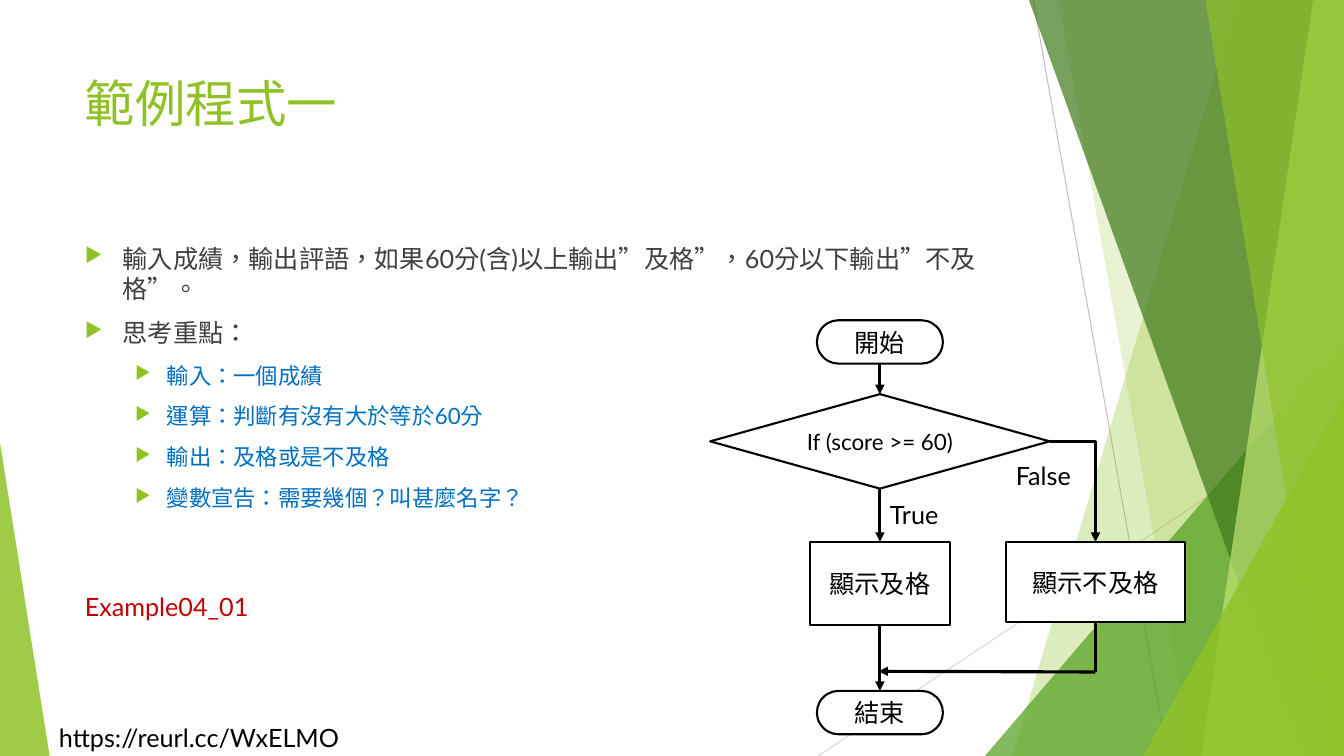
from lxml import etree
from pptx import Presentation
from pptx.dml.color import RGBColor
from pptx.enum.lang import MSO_LANGUAGE_ID
from pptx.enum.shapes import MSO_CONNECTOR, MSO_SHAPE
from pptx.enum.text import MSO_ANCHOR, MSO_AUTO_SIZE, PP_ALIGN
from pptx.oxml.ns import qn
from pptx.util import Pt

WIDTH, HEIGHT = 960, 540
GREEN, BLACK, WHITE, BLUE = "90C226", "000000", "FFFFFF", "0070C0"
MAIN_X, FALSE_X = 628.5, 782.5  # centre lines of the two branches

# Slanted bands: top-left x, bottom-left x, colour, opacity in percent
BANDS_BACK = [(884, 723, GREEN, 30), (756, 852, GREEN, 20)]
BANDS_FRONT = [(735, 929.5, "3F7819", 70), (938, 858, "C0E474", 70),
               (861, 949, GREEN, 65)]

BULLETS = [
    (0, "輸入成績，輸出評語，如果60分(含)以上輸出”及格”，60分以下輸出”不及格”。"),
    (0, "思考重點："),
    (1, "輸入：一個成績"),
    (1, "運算：判斷有沒有大於等於60分"),
    (1, "輸出：及格或是不及格"),
    (1, "變數宣告：需要幾個？叫甚麼名字？"),
]
# Per level: left margin, hanging indent, text size, colour
LEVELS = [(27, 27, 18, "404040"), (58.5, 22.5, 16, BLUE)]


def rgb(value):
    return RGBColor.from_string(value)


def sub(parent, tag, **attrs):
    return etree.SubElement(parent, qn(tag), attrs)


def set_attrs(obj, values):
    for name, value in values.items():
        setattr(obj, name, value)


def add_run(p, text, size, color):
    r = p.add_run()
    r.text = text
    set_attrs(r.font, {"name": "Lato", "size": Pt(size),
                       "language_id": MSO_LANGUAGE_ID.TRADITIONAL_CHINESE})
    r.font.color.rgb = rgb(color)


def paint_glass(sp, color, opacity):
    """Fill a decorative shape with a see-through colour and no line."""
    sp.shadow.inherit = False
    sp.fill.solid()
    sp.fill.fore_color.rgb = rgb(color)
    sp.line.fill.background()
    clr = sp.fill._xPr.find(".//" + qn("a:srgbClr"))
    sub(clr, "a:alpha", val=str(opacity * 1000))


def add_band(slide, top_x, bottom_x, color, opacity):
    builder = slide.shapes.build_freeform(Pt(top_x), Pt(0), scale=1.0)
    corners = [(WIDTH, 0), (WIDTH, HEIGHT), (bottom_x, HEIGHT)]
    builder.add_line_segments([(Pt(x), Pt(y)) for x, y in corners])
    paint_glass(builder.convert_to_shape(), color, opacity)


def add_corner(slide, x, width, height, apex, color, opacity):
    """Add a triangle that stands on the bottom edge of the slide."""
    sp = slide.shapes.add_shape(MSO_SHAPE.ISOSCELES_TRIANGLE, Pt(x),
                                Pt(HEIGHT - height), Pt(width), Pt(height))
    sp.adjustments[0] = apex
    paint_glass(sp, color, opacity)


def add_line(slide, start, end, color=BLACK, width=2.25, arrow=False,
             kind=MSO_CONNECTOR.STRAIGHT):
    line = slide.shapes.add_connector(kind, *map(Pt, start + end))
    line.line.color.rgb = rgb(color)
    line.line.width = Pt(width)
    if arrow:
        sub(line.line._get_or_add_ln(), "a:tailEnd", type="triangle")
    sub(line._element.spPr, "a:effectLst")
    return line


def add_label(slide, x, y, w, h, text, size=18, color=BLACK, wrap=False):
    tf = slide.shapes.add_textbox(Pt(x), Pt(y), Pt(w), Pt(h)).text_frame
    fit = MSO_AUTO_SIZE.NONE if wrap else MSO_AUTO_SIZE.SHAPE_TO_FIT_TEXT
    set_attrs(tf, {"word_wrap": wrap, "auto_size": fit})
    add_run(tf.paragraphs[0], text, size, color)


def add_bullets(slide, x, y, w, h):
    tf = slide.shapes.add_textbox(Pt(x), Pt(y), Pt(w), Pt(h)).text_frame
    tf.word_wrap = True
    for i, (level, text) in enumerate(BULLETS):
        p = tf.add_paragraph() if i else tf.paragraphs[0]
        margin, hanging, size, color = LEVELS[level]
        set_attrs(p, {"level": level, "space_before": Pt(10 if i else 0)})
        pPr = p._p.get_or_add_pPr()
        pPr.set("marL", str(Pt(margin)))
        pPr.set("indent", str(-Pt(hanging)))
        sub(sub(pPr, "a:buClr"), "a:srgbClr", val=GREEN)
        sub(pPr, "a:buSzPct", val="80000")
        sub(pPr, "a:buChar", char="▶")
        add_run(p, text, size, color)


def add_step(slide, kind, center_x, y, w, h, text, size=18):
    sp = slide.shapes.add_shape(kind, Pt(center_x - w / 2), Pt(y), Pt(w), Pt(h))
    sp.shadow.inherit = False
    sp.fill.solid()
    sp.fill.fore_color.rgb = rgb(WHITE)
    sp.line.color.rgb = rgb(BLACK)
    sp.line.width = Pt(1.5)
    if kind == MSO_SHAPE.ROUNDED_RECTANGLE:
        sp.adjustments[0] = 0.5
    tf = sp.text_frame
    set_attrs(tf, {"word_wrap": True, "vertical_anchor": MSO_ANCHOR.MIDDLE})
    p = tf.paragraphs[0]
    p.alignment = PP_ALIGN.CENTER
    add_run(p, text, size, BLACK)
    return sp


def add_background(slide):
    add_line(slide, (738, 0), (834, HEIGHT), "BFBFBF", 0.75)
    add_line(slide, (WIDTH, 290), (584.5, HEIGHT), "D9D9D9", 0.75)
    for band in BANDS_BACK:
        add_band(slide, *band)
    add_corner(slide, 703.5, 256.5, 300, 1, "54A021", 72)
    for band in BANDS_FRONT:
        add_band(slide, *band)
    add_corner(slide, 816.5, 143.5, 257, 1, GREEN, 80)
    add_corner(slide, 0, 35.5, 224, 0, GREEN, 85)


def add_flowchart(slide):
    pill, box = MSO_SHAPE.ROUNDED_RECTANGLE, MSO_SHAPE.RECTANGLE
    start = add_step(slide, pill, MAIN_X, 228.75, 90, 31, "開始")
    passed = add_step(slide, box, MAIN_X, 387, 100, 59.5, "顯示及格")
    failed = add_step(slide, box, FALSE_X, 387, 127.5, 57.5, "顯示不及格")
    end = add_step(slide, pill, MAIN_X, 493.5, 90, 31, "結束")
    test = add_step(slide, MSO_SHAPE.DIAMOND, MAIN_X, 281.5, 242.5, 67.5,
                    "If (score >= 60)", 16)

    for upper, lower in [(start, test), (test, passed), (passed, end)]:
        arrow = add_line(slide, (MAIN_X, 0), (MAIN_X, 0), arrow=True)
        arrow.begin_connect(upper, 2)
        arrow.end_connect(lower, 0)

    elbow = add_line(slide, (749.75, 315.25), (FALSE_X, 387), arrow=True,
                     kind=MSO_CONNECTOR.ELBOW)
    elbow._element.spPr.find(qn("a:prstGeom")).set("prst", "bentConnector2")
    elbow.begin_connect(test, 3)
    elbow.end_connect(failed, 0)

    drop = add_line(slide, (FALSE_X, 444.5), (FALSE_X, 480))
    drop.begin_connect(failed, 2)
    add_line(slide, (FALSE_X, 480), (627.5, 479.5), arrow=True)

    add_label(slide, 628.5, 353, 50.5, 29, "True")
    add_label(slide, 718.5, 325.5, 56, 29, "False")


def main():
    prs = Presentation()
    set_attrs(prs, {"slide_width": Pt(WIDTH), "slide_height": Pt(HEIGHT)})
    slide = prs.slides.add_slide(prs.slide_layouts[6])
    add_background(slide)
    add_label(slide, 35, 512.5, 225, 29, "https://reurl.cc/WxELMO")
    add_label(slide, 53.5, 48, 677, 104, "範例程式一", 36, GREEN, wrap=True)
    add_bullets(slide, 53.5, 170, 677, 305.5)
    add_label(slide, 53.5, 419, 132, 29, "Example04_01", color="C00000")
    add_flowchart(slide)
    prs.save("out.pptx")


if __name__ == "__main__":
    main()
